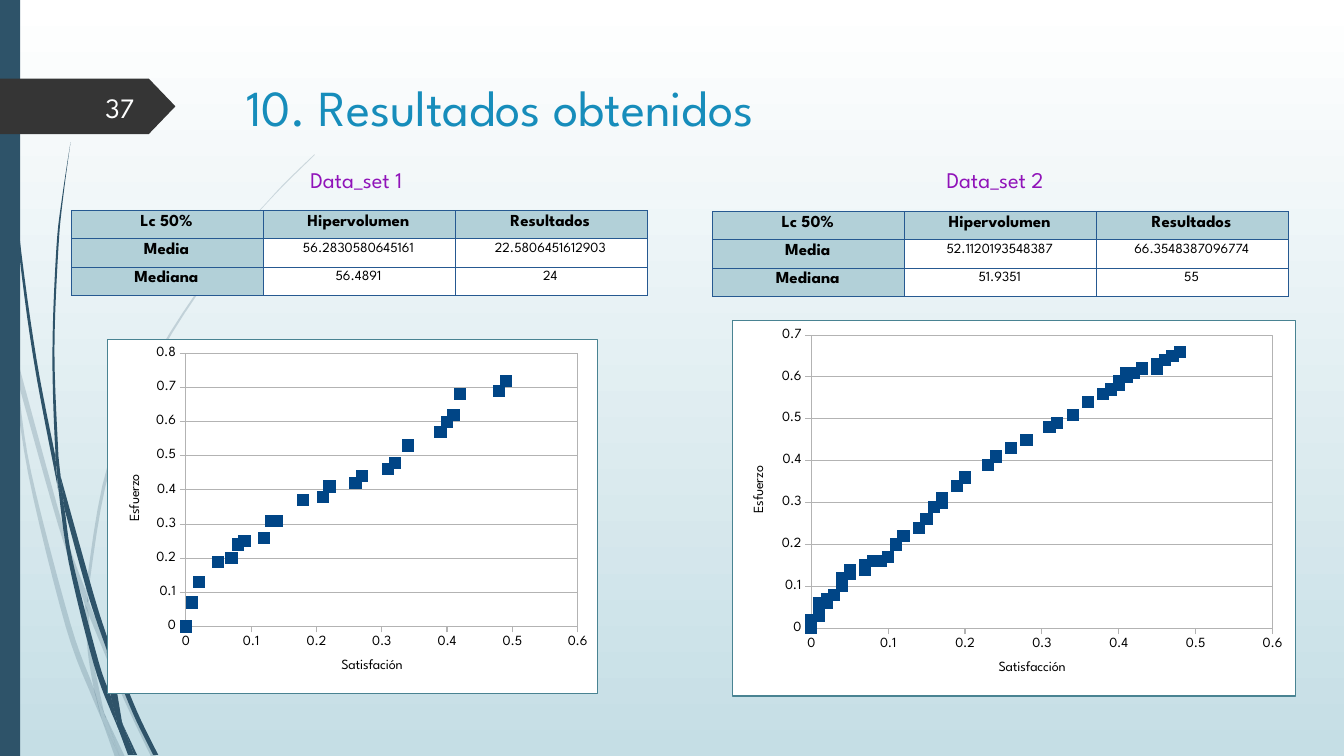
from dataclasses import dataclass

from lxml import etree
from pptx import Presentation
from pptx.chart.data import XyChartData
from pptx.dml.color import RGBColor
from pptx.enum.chart import XL_CHART_TYPE, XL_MARKER_STYLE, XL_TICK_MARK
from pptx.enum.shapes import MSO_SHAPE
from pptx.enum.text import MSO_ANCHOR, PP_ALIGN
from pptx.oxml import parse_xml
from pptx.oxml.ns import nsdecls, qn
from pptx.util import Pt

PX = 9144  # 100 px to the inch
CURVE_STEPS = 6
LEFT, CENTER, RIGHT = PP_ALIGN.LEFT, PP_ALIGN.CENTER, PP_ALIGN.RIGHT
TOP, MIDDLE = MSO_ANCHOR.TOP, MSO_ANCHOR.MIDDLE
OUTSIDE = XL_TICK_MARK.OUTSIDE

Point = tuple[float, float]
Box = tuple[int, int, int, int]


@dataclass(frozen=True)
class Theme:
    font: str = "League Spartan"
    navy: str = "2E5369"
    charcoal: str = "353535"
    white: str = "FFFFFF"
    page_number: str = "FEFFFF"
    sky: str = "C5DEE5"
    title: str = "178DBB"
    purple: str = "9013B9"
    black: str = "000000"
    header_fill: str = "B2D0D8"
    table_border: str = "265991"
    chart_border: str = "498392"
    grid: str = "B3B3B3"
    marker: str = "004586"
    title_size: int = 36
    number_size: int = 20
    label_size: int = 16
    header_size: int = 12
    small_size: int = 10


THEME = Theme()


@dataclass(frozen=True)
class Wisp:
    """A thin leaf between two smooth edges, the second running back."""
    out: list[Point]
    back: list[Point]


@dataclass(frozen=True)
class DataSet:
    label: str
    label_left: int
    table_left: int
    table_top: int
    rows: list[list[str]]
    chart_box: Box
    plot_area: tuple[float, float, float, float]  # x, y, w, h as shares of the chart
    x_title: str
    y_max: float
    x: list[float]
    y: list[float]


PALE_WISPS = [
    Wisp([(11, 350), (9, 322), (0, 282)], [(0, 299), (10, 344)]),
    Wisp([(14, 345), (62, 520), (85, 586)], [(84, 599), (58, 522), (17, 376)]),
    Wisp([(88, 596), (92, 607), (127, 692), (155, 751)], [(150, 751), (123, 694), (88, 610)]),
    Wisp([(105, 711), (124, 751)], [(119, 751)]),
    Wisp([(11, 350), (17, 376), (31, 469), (70, 619), (93, 683), (101, 714)],
         [(92, 693), (65, 621), (28, 470), (11, 350)]),
    Wisp([(84, 599), (88, 610), (91, 646), (103, 706), (105, 711)], [(96, 692), (93, 683), (87, 646), (84, 599)]),
    Wisp([(312, 153), (289, 175), (268, 197), (228, 244), (158, 348), (107, 461), (85, 584)],
         [(88, 596), (88, 584), (110, 462), (160, 349), (229, 245), (268, 198), (312, 154)]),
    Wisp([(101, 714), (114, 751)], [(119, 751)]),
    Wisp([(84, 599), (85, 586)], [(88, 596), (88, 610)]),
    Wisp([(93, 683), (96, 692), (105, 711), (119, 751)], [(101, 714), (99, 707)]),
]
DARK_WISPS = [
    Wisp([(3, 0), (4, 48), (7, 110), (17, 233), (33, 355), (56, 477), (57, 481)],
         [(55, 453), (36, 355), (19, 232), (8, 109), (5, 48), (4, 0)]),
    Wisp([(60, 472), (93, 590), (106, 631)], [(106, 645), (88, 592), (64, 505)]),
    Wisp([(110, 641), (113, 649), (136, 706), (157, 749)], [(152, 749), (132, 708), (111, 656)]),
    Wisp([(57, 477), (64, 505), (72, 556), (98, 657), (110, 691), (117, 722)],
         [(111, 708), (93, 659), (68, 557), (57, 477)]),
    Wisp([(70, 141), (62, 193), (56, 245), (52, 349), (55, 449), (60, 472)],
         [(58, 453), (54, 349), (58, 245), (63, 193), (70, 141)]),
    Wisp([(122, 719), (136, 749)], [(133, 749)]),
    Wisp([(55, 449), (60, 472), (64, 505)], [(57, 477), (55, 453)]),
    Wisp([(260, 344), (231, 373), (204, 405), (156, 474), (122, 551), (106, 631)],
         [(110, 641), (111, 633), (125, 552), (158, 476), (205, 406), (231, 374), (261, 344)]),
    Wisp([(117, 722), (127, 749)], [(131, 749)]),
    Wisp([(106, 645), (110, 691), (122, 719)], [(121, 716), (111, 656)]),
    Wisp([(106, 631), (110, 641)], [(111, 656), (106, 645)]),
    Wisp([(110, 691), (116, 706), (122, 719), (133, 749)], [(130, 749), (117, 722), (116, 717)]),
]
HEADER = ["Lc 50%", "Hipervolumen", "Resultados"]
DATA_SETS = [
    DataSet(
        "Data_set 1", 298, 71, 209,
        [HEADER, ["Media", "56.2830580645161", "22.5806451612903"], ["Mediana", "56.4891", "24"]],
        (106, 336, 487, 353), (0.16, 0.04, 0.8, 0.77), "Satisfación", 0.8,
        [0, 0.01, 0.26, 0.02, 0.31, 0.32, 0.07, 0.34, 0.39, 0.05, 0.09, 0.08,
         0.12, 0.13, 0.4, 0.49, 0.48, 0.18, 0.14, 0.27, 0.42, 0.22, 0.21, 0.41],
        [0, 0.07, 0.42, 0.13, 0.46, 0.48, 0.2, 0.53, 0.57, 0.19, 0.25, 0.24,
         0.26, 0.31, 0.6, 0.72, 0.69, 0.37, 0.31, 0.44, 0.68, 0.41, 0.38, 0.62]),
    DataSet(
        "Data_set 2", 929, 707, 210,
        [HEADER, ["Media", "52.1120193548387", "66.3548387096774"], ["Mediana", "51.9351", "55"]],
        (726, 317, 559, 374), (0.14, 0.04, 0.82, 0.78), "Satisfacción", 0.7,
        [0, 0, 0.4, 0.4, 0.41, 0, 0.01, 0.01, 0.01, 0, 0.07, 0.07, 0.01, 0.03, 0.04, 0.05, 0.04, 0, 0.04,
         0.05, 0.09, 0.08, 0.1, 0.45, 0.12, 0.11, 0.12, 0.46, 0.45, 0.46, 0.47, 0.41, 0.42, 0.43, 0.43, 0.02,
         0.02, 0.39, 0.38, 0.31, 0.48, 0.2, 0.34, 0.26, 0.23, 0.16, 0.32, 0.28, 0.19, 0.17, 0.14, 0.36, 0.24,
         0.15, 0.17],
        [0, 0.01, 0.58, 0.59, 0.6, 0.02, 0.05, 0.04, 0.03, 0.01, 0.15, 0.14, 0.06, 0.08, 0.11, 0.13, 0.12, 0.02,
         0.1, 0.14, 0.16, 0.16, 0.17, 0.63, 0.22, 0.2, 0.22, 0.64, 0.62, 0.64, 0.65, 0.61, 0.61, 0.62, 0.62,
         0.07, 0.06, 0.57, 0.56, 0.48, 0.66, 0.36, 0.51, 0.43, 0.39, 0.29, 0.49, 0.45, 0.34, 0.31, 0.24, 0.54,
         0.41, 0.26, 0.3]),
]


def emu(box: Box) -> list[int]:
    return [length * PX for length in box]


def paint(shape, color: str) -> None:
    shape.shadow.inherit = False
    shape.fill.solid()
    shape.fill.fore_color.rgb = RGBColor.from_string(color)
    shape.line.fill.background()


def set_font(font, size: int, color: str, bold: bool = False) -> None:
    font.name, font.size, font.bold = THEME.font, Pt(size), bold
    font.color.rgb = RGBColor.from_string(color)


def write(text_frame, text: str, size: int, color: str, align=LEFT, anchor=TOP, wrap: bool = True) -> None:
    text_frame.word_wrap, text_frame.vertical_anchor = wrap, anchor
    text_frame.text = text
    paragraph = text_frame.paragraphs[0]
    paragraph.alignment = align
    set_font(paragraph.font, size, color)


def smooth_edge(anchors: list[Point]) -> list[Point]:
    """Catmull-Rom curve through the anchors."""
    padded = [anchors[0], *anchors, anchors[-1]]
    points = [anchors[0]]
    for a, b, c, d in zip(padded, padded[1:], padded[2:], padded[3:]):
        for step in range(1, CURVE_STEPS + 1):
            t = step / CURVE_STEPS
            points.append(tuple(
                q + 0.5 * t * (r - p + t * (2 * p - 5 * q + 4 * r - s + t * (3 * (q - r) + s - p)))
                for p, q, r, s in zip(a, b, c, d)))
    return points


def draw_wisp(slide, wisp: Wisp, opacity: int) -> None:
    points = [(round(x * PX), round(y * PX)) for x, y in smooth_edge(wisp.out) + smooth_edge(wisp.back)]
    builder = slide.shapes.build_freeform(*points[0], scale=1.0)
    builder.add_line_segments(points[1:], close=True)
    shape = builder.convert_to_shape()
    paint(shape, THEME.navy)
    if opacity < 100:
        color = shape.fill._xPr.find(qn("a:solidFill"))[0]
        etree.SubElement(color, qn("a:alpha")).set("val", str(opacity * 1000))


def draw_table(slide, data: DataSet) -> None:
    frame = slide.shapes.add_table(3, 3, *emu((data.table_left, data.table_top, 571, 69)))
    for row, texts in enumerate(data.rows):
        for column, text in enumerate(texts):
            cell, heading = frame.table.cell(row, column), row == 0 or column == 0
            cell.margin_left, cell.margin_right = 2 * PX, 4 * PX
            cell.margin_top = cell.margin_bottom = 4 * PX
            cell.fill.solid()
            cell.fill.fore_color.rgb = RGBColor.from_string(THEME.header_fill if heading else THEME.white)
            write(cell.text_frame, text, THEME.header_size if heading else THEME.small_size, THEME.black, CENTER)
            cell.text_frame.paragraphs[0].font.bold = heading
            for index, side in enumerate(("lnL", "lnR", "lnT", "lnB")):
                cell._tc.tcPr.insert(index, parse_xml(
                    f'<a:{side} {nsdecls("a")} w="12700"><a:solidFill>'
                    f'<a:srgbClr val="{THEME.table_border}"/></a:solidFill></a:{side}>'))


def frame_xml(border: str):
    return parse_xml(
        f'<c:spPr {nsdecls("c", "a")}><a:solidFill><a:srgbClr val="{THEME.white}"/></a:solidFill>'
        f'<a:ln w="9525"><a:solidFill><a:srgbClr val="{border}"/></a:solidFill></a:ln></c:spPr>')


def format_axis(axis, title: str, maximum: float, gridlines: bool, rotation: int) -> None:
    axis.minimum_scale, axis.maximum_scale, axis.major_unit = 0, maximum, 0.1
    axis.major_tick_mark, axis.has_major_gridlines = OUTSIDE, gridlines
    for part in [axis, axis.major_gridlines] if gridlines else [axis]:
        part.format.line.width = Pt(0.75)
        part.format.line.color.rgb = RGBColor.from_string(THEME.grid)
    text_frame = axis.axis_title.text_frame
    text_frame.text = title
    text_frame._txBody.bodyPr.set("rot", str(rotation * 60000))
    set_font(text_frame.paragraphs[0].font, THEME.small_size, THEME.black)


def draw_chart(slide, data: DataSet) -> None:
    chart_data = XyChartData()
    points = chart_data.add_series("Series 1")
    for x, y in zip(data.x, data.y):
        points.add_data_point(x, y)
    chart = slide.shapes.add_chart(XL_CHART_TYPE.XY_SCATTER, *emu(data.chart_box), chart_data).chart
    chart.has_title = chart.has_legend = chart.plots[0].vary_by_categories = False
    set_font(chart.font, THEME.small_size, THEME.black)
    format_axis(chart.category_axis, data.x_title, 0.6, False, 0)
    format_axis(chart.value_axis, "Esfuerzo", data.y_max, True, -90)

    series = chart.plots[0].series[0]
    series.smooth = False
    series.format.line.fill.background()
    series.marker.style, series.marker.size = XL_MARKER_STYLE.SQUARE, 8
    series.marker.format.fill.solid()
    series.marker.format.fill.fore_color.rgb = RGBColor.from_string(THEME.marker)
    series.marker.format.line.color.rgb = RGBColor.from_string(THEME.marker)

    # Frame and plot area position
    chart_element = chart._chartSpace.find(qn("c:chart"))
    chart_element.addnext(frame_xml(THEME.chart_border))
    plot_area = chart_element.find(qn("c:plotArea"))
    for layout in plot_area.findall(qn("c:layout")):
        plot_area.remove(layout)
    sizes = "".join(f'<c:{name} val="{share}"/>' for name, share in zip("xywh", data.plot_area))
    plot_area.insert(0, parse_xml(
        f'<c:layout {nsdecls("c")}><c:manualLayout><c:layoutTarget val="inner"/><c:xMode val="edge"/>'
        f'<c:yMode val="edge"/>{sizes}</c:manualLayout></c:layout>'))
    plot_area.append(frame_xml(THEME.grid))


def main() -> None:
    presentation = Presentation()
    presentation.slide_width, presentation.slide_height = 1333 * PX, 750 * PX
    slide = presentation.slides.add_slide(presentation.slide_layouts[5])

    # Background and side decoration
    background = slide.background.fill
    background.gradient()
    background.gradient_angle = 270
    for stop, color, position in zip(background.gradient_stops, (THEME.white, THEME.sky), (0, 1)):
        stop.color.rgb, stop.position = RGBColor.from_string(color), position
    for wisps, opacity in ((PALE_WISPS, 20), (DARK_WISPS, 100)):
        for wisp in wisps:
            draw_wisp(slide, wisp, opacity)
    paint(slide.shapes.add_shape(MSO_SHAPE.RECTANGLE, *emu((0, 0, 20, 750))), THEME.navy)

    # Page number tag
    tag = slide.shapes.add_shape(MSO_SHAPE.PENTAGON, *emu((0, 78, 174, 55)))
    tag.adjustments[0] = 0.48
    paint(tag, THEME.charcoal)
    number = slide.shapes.add_textbox(*emu((58, 86, 85, 40)))
    write(number.text_frame, "37", THEME.number_size, THEME.page_number, RIGHT, MIDDLE)

    # Title
    title = slide.shapes.title
    title.left, title.top, title.width, title.height = emu((234, 70, 975, 72))
    write(title.text_frame, "10. Resultados obtenidos", THEME.title_size, THEME.title, LEFT, MIDDLE)

    # Results of each data set
    for data in DATA_SETS:
        label = slide.shapes.add_textbox(*emu((data.label_left, 160, 136, 37)))
        write(label.text_frame, data.label, THEME.label_size, THEME.purple, wrap=False)
        draw_table(slide, data)
        draw_chart(slide, data)

    presentation.save("out.pptx")


if __name__ == "__main__":
    main()
